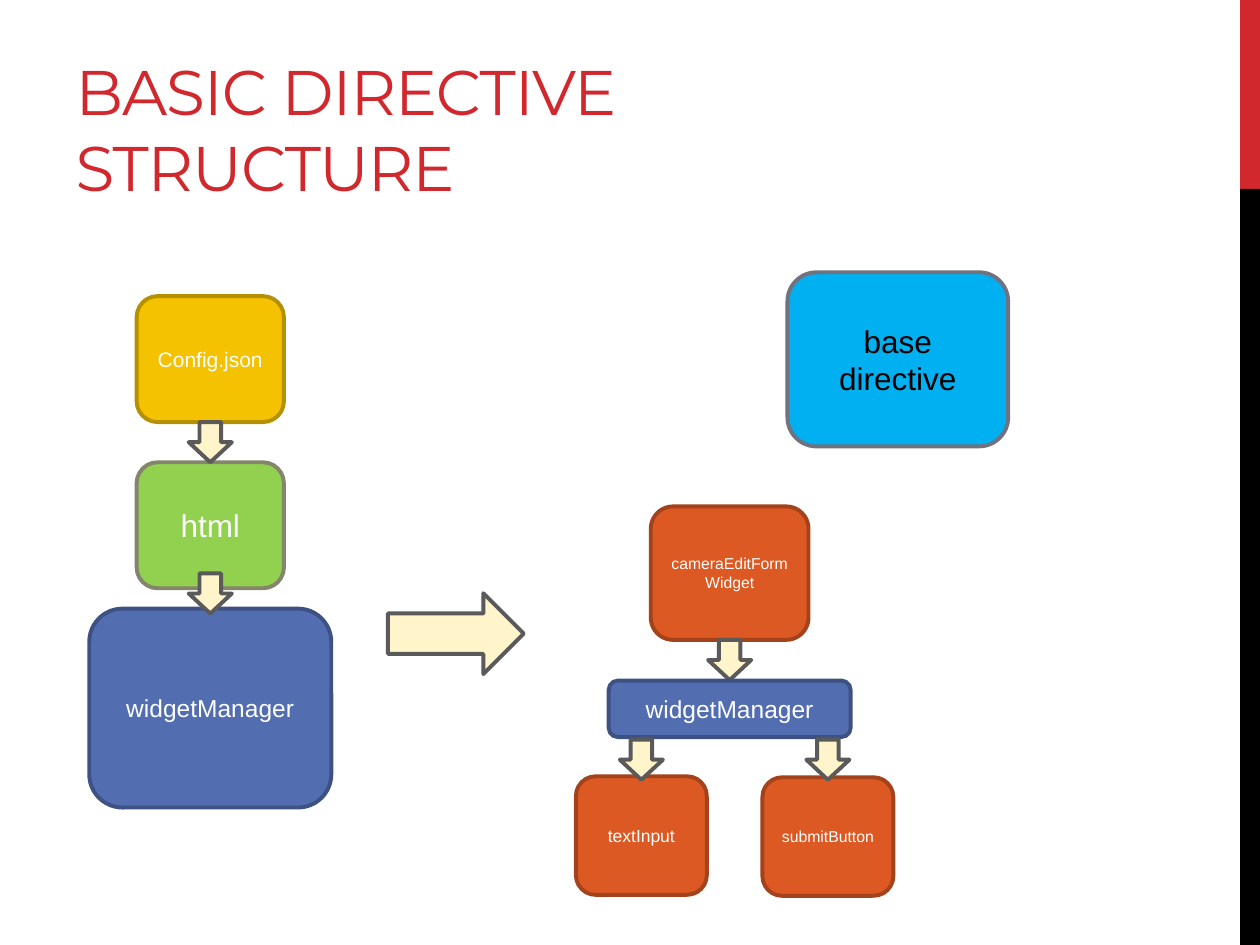
"""Build the basic directive structure slide."""
import pptx
import pptx.util
import pptx.dml.color
import pptx.enum.shapes
import pptx.enum.text

Cm, Pt = pptx.util.Cm, pptx.util.Pt
SHAPE = pptx.enum.shapes.MSO_SHAPE
ALIGN = pptx.enum.text.PP_ALIGN
ANCHOR = pptx.enum.text.MSO_ANCHOR

COLORS = {
    "red": "D1282E", "black": "000000", "white": "FFFFFF",
    "blue": "526DB0", "blue_line": "3D5182",
    "yellow": "F5C201", "yellow_line": "B59001",
    "green": "92D050", "green_line": "85846C",
    "sky": "00B0F0", "sky_line": "70727F",
    "orange": "DC5924", "orange_line": "A3421B",
    "cream": "FFF4CA", "cream_line": "5A5A5A",
}
TITLE = "BASIC DIRECTIVE STRUCTURE"
SLIDE_W, SLIDE_H = 25.4, 19.05
BAR_W, BAR_SPLIT = 0.4, 3.81
CONFIG_X, FORM_X, INPUT_X, BUTTON_X = 4.24, 14.71, 12.93, 16.69
ARROW_W, ARROW_H = 0.87, 0.81

# label, centre x, top, width, height, colour, text size, text colour
BOXES = [
    ("widgetManager", CONFIG_X, 12.27, 4.88, 4.01, "blue", 14, "white"),
    ("Config.json", CONFIG_X, 5.97, 2.97, 2.54, "yellow", 12, "white"),
    ("html", CONFIG_X, 9.32, 2.97, 2.54, "green", 18, "white"),
    ("base directive", 18.1, 5.49, 4.45, 3.51, "sky", 18, "black"),
    ("cameraEditFormWidget", FORM_X, 10.21, 3.18, 2.69, "orange", 9, "white"),
    ("textInput", INPUT_X, 15.65, 2.64, 2.39, "orange", 10, "white"),
    ("submitButton", BUTTON_X, 15.67, 2.64, 2.39, "orange", 9, "white"),
]
FORM_MANAGER = ("widgetManager", FORM_X, 13.72, 4.88, 1.14, "blue", 14, "white")
FORM_ARROW = (FORM_X, 12.9)
DOWN_ARROWS = [(CONFIG_X, 8.51), (CONFIG_X, 11.56), (INPUT_X, 14.91), (BUTTON_X, 14.91)]


def rgb(name):
    return pptx.dml.color.RGBColor.from_string(COLORS[name])


def add_shape(s, kind, x, y, w, h, color, outlined=True):
    sp = s.shapes.add_shape(kind, Cm(x), Cm(y), Cm(w), Cm(h))
    sp.shadow.inherit = False
    sp.fill.solid()
    sp.fill.fore_color.rgb = rgb(color)
    if outlined:
        sp.line.color.rgb = rgb(color + "_line")
        sp.line.width = Pt(2.25)
    else:
        sp.line.fill.background()
    return sp


def add_run(p, text, font, size, color):
    r = p.add_run()
    r.text = text
    r.font.name = font
    r.font.size = Pt(size)
    r.font.color.rgb = rgb(color)
    return r


def add_box(s, label, cx, y, w, h, color, size, text_color):
    sp = add_shape(s, SHAPE.ROUNDED_RECTANGLE, cx - w / 2, y, w, h, color)
    tf = sp.text_frame
    tf.word_wrap = True
    tf.vertical_anchor = ANCHOR.MIDDLE
    p = tf.paragraphs[0]
    p.alignment = ALIGN.CENTER
    add_run(p, label, "Arial", size, text_color)


def add_down_arrow(s, cx, y):
    add_shape(s, SHAPE.DOWN_ARROW, cx - ARROW_W / 2, y, ARROW_W, ARROW_H, "cream")


def add_title(s):
    sp = s.shapes.title
    sp.left, sp.top, sp.width, sp.height = Cm(1.27), Cm(0.43), Cm(16.08), Cm(3.81)
    tf = sp.text_frame
    tf.word_wrap = True
    tf.auto_size = pptx.enum.text.MSO_AUTO_SIZE.NONE
    tf.vertical_anchor = ANCHOR.BOTTOM
    p = tf.paragraphs[0]
    p.alignment = ALIGN.LEFT
    r = add_run(p, TITLE, "Montserrat", 36, "red")
    r.font._element.set("spc", "-60")


def main():
    prs = pptx.Presentation()
    prs.slide_width, prs.slide_height = Cm(SLIDE_W), Cm(SLIDE_H)
    s = prs.slides.add_slide(prs.slide_layouts[5])
    bar_x = SLIDE_W - BAR_W
    add_shape(s, SHAPE.RECTANGLE, bar_x, 0, BAR_W, BAR_SPLIT, "red", False)
    add_shape(s, SHAPE.RECTANGLE, bar_x, BAR_SPLIT, BAR_W, SLIDE_H - BAR_SPLIT, "black", False)
    add_title(s)
    for box in BOXES:
        add_box(s, *box)
    add_down_arrow(s, *FORM_ARROW)
    add_box(s, *FORM_MANAGER)
    for arrow in DOWN_ARROWS:
        add_down_arrow(s, *arrow)
    add_shape(s, SHAPE.RIGHT_ARROW, 7.82, 11.96, 2.74, 1.63, "cream")
    prs.save("out.pptx")


if __name__ == "__main__":
    main()
